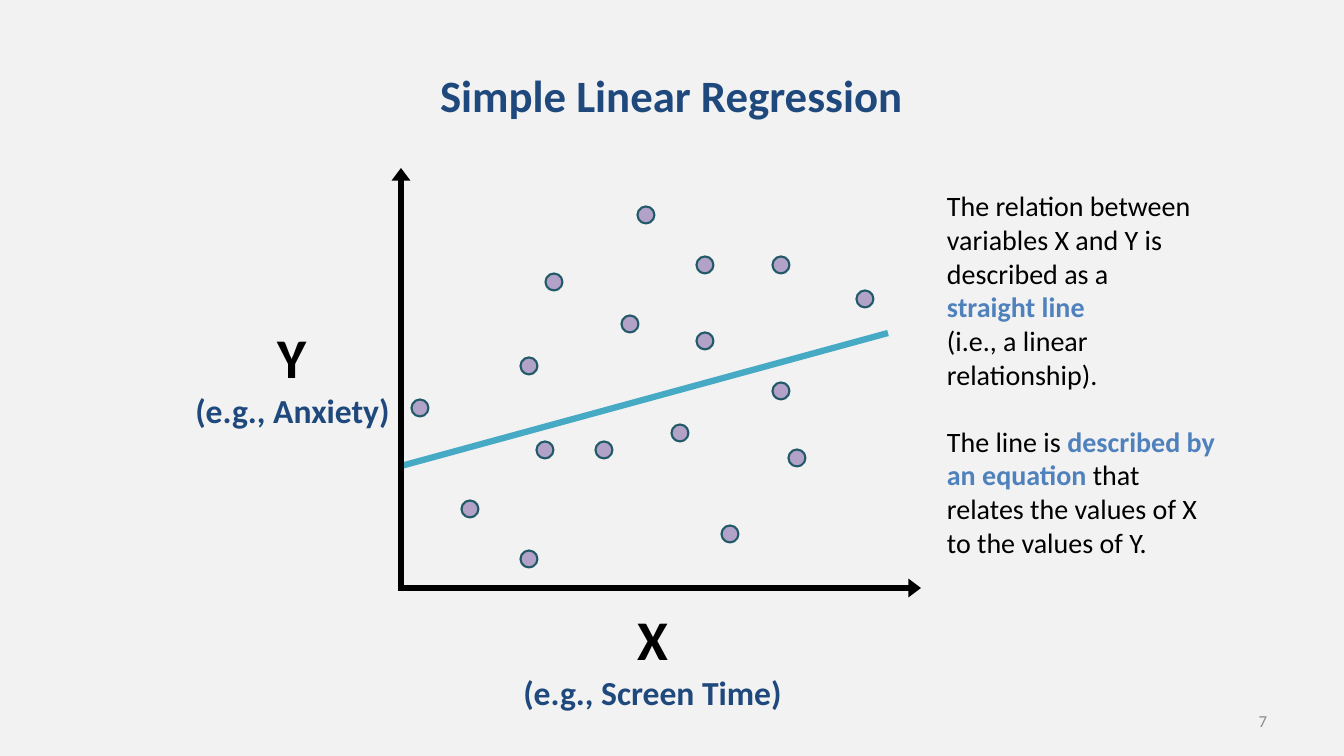
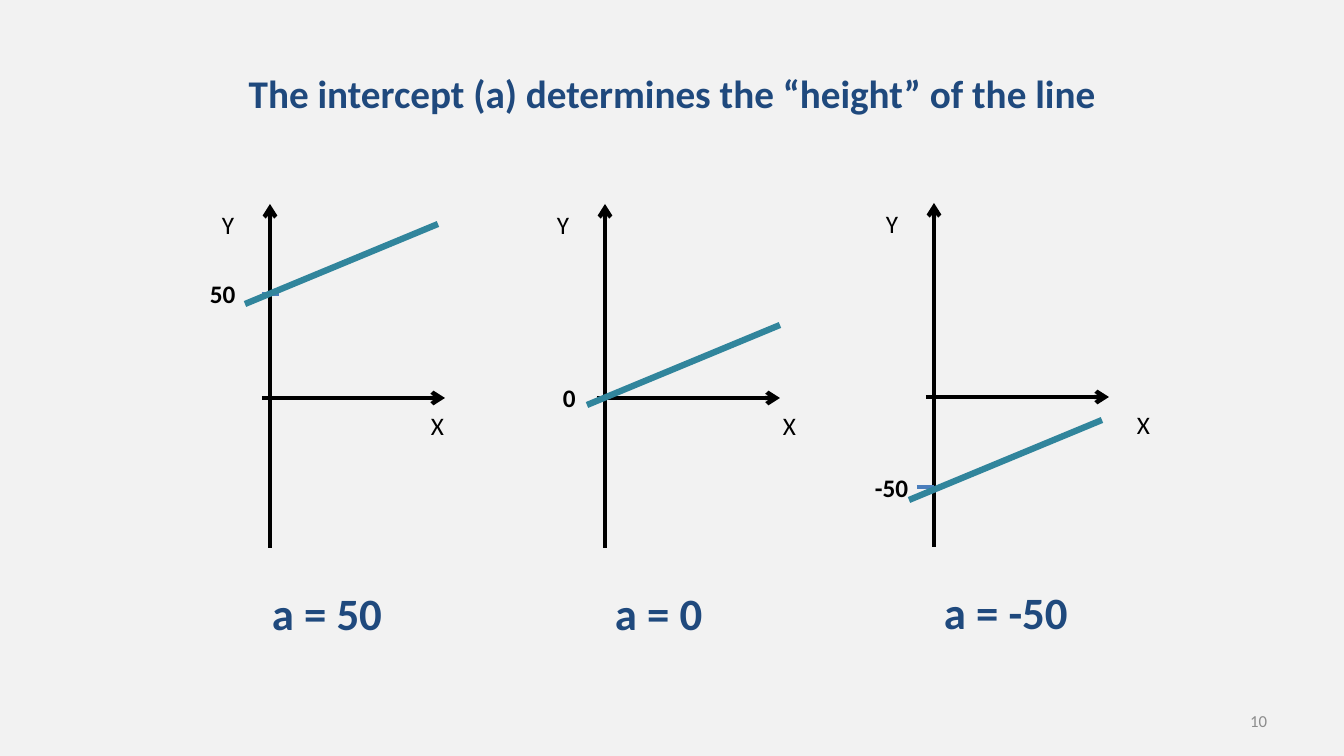
"""Build two slides that explain simple linear regression."""
from typing import NamedTuple

from lxml import etree
from pptx import Presentation
from pptx.dml.color import RGBColor
from pptx.enum.shapes import MSO_CONNECTOR, MSO_SHAPE
from pptx.enum.text import MSO_ANCHOR, PP_ALIGN
from pptx.oxml.ns import qn
from pptx.util import Pt

EMU_PER_PIXEL = 914400 / 100.8
STRAIGHT, OVAL = MSO_CONNECTOR.STRAIGHT, MSO_SHAPE.OVAL
TOP, MIDDLE = MSO_ANCHOR.TOP, MSO_ANCHOR.MIDDLE
LEFT, CENTER, RIGHT = PP_ALIGN.LEFT, PP_ALIGN.CENTER, PP_ALIGN.RIGHT
TITLE_ONLY = 5

FONT = "Calibri"
BACKGROUND, BLACK, GREY = "F2F2F2", "000000", "8C8C8C"
NAVY, BLUE, TICK_BLUE = "1F497D", "4F81BD", "4B7EBC"
TREND_TEAL, LINE_TEAL = "46AAC5", "31859C"
DOT_FILL, DOT_EDGE = "B3A2C7", "215968"
SOLID_HEAD = {"type": "triangle", "len": "sm"}
OPEN_HEAD = {"type": "arrow"}

DOT_SIZE = 17
DOTS = [
    (153, 114), (203, 282), (128, 391), (69, 341), (279, 265), (329, 366),
    (396, 290), (245, 47), (304, 97), (19, 240), (380, 97), (464, 131),
    (229, 156), (380, 223), (304, 173), (128, 198), (144, 282),
]
EXPLANATION = [
    [("The relation between variables X and Y is described as a ", False),
     ("\n", False), ("straight line ", True), ("\n", False),
     ("(i.e., a linear relationship).", False)],
    [("The line is ", False), ("described by an equation ", True),
     ("that relates the values of X to the values of Y.", False)],
]


class Box(NamedTuple):
    """A rectangle in pixels."""
    left: int
    top: int
    width: int
    height: int


class Intercept(NamedTuple):
    """One intercept plot, with offsets from the point where its axes cross."""
    value: str
    box: Box
    line_start: tuple
    x_label: int
    value_label: tuple
    caption: int
    tick: tuple


INTERCEPTS = [
    Intercept("50", Box(270, 204, 175, 344), (-25, -94), 151, (-70, -125, 46), -8,
              (-8, 9, -104)),
    Intercept("0", Box(605, 204, 175, 344), (-18, 7), 168, (-52, -21, 33), 0, ()),
    Intercept("-50", Box(934, 203, 175, 344), (-25, 103), 193, (-69, 70, 54), 0,
              (-17, 0, 90)),
]


def emu(*pixels):
    """Turn pixel lengths into EMU."""
    return [round(pixel * EMU_PER_PIXEL) for pixel in pixels]


def color(hex_text):
    """Turn a hex string into a colour."""
    return RGBColor.from_string(hex_text)


def style(para, size, hex_text, bold=False, align=LEFT):
    """Set the font and alignment of a whole paragraph."""
    para.alignment = align
    para.font.name = FONT
    para.font.size = Pt(size)
    para.font.bold = bold
    para.font.color.rgb = color(hex_text)


def add_text(page, box, lines, align=LEFT, anchor=TOP, wrap=False):
    """Add a text box whose lines are (text, size, colour, bold) tuples."""
    frame = page.shapes.add_textbox(*emu(*box)).text_frame
    frame.word_wrap = wrap
    frame.vertical_anchor = anchor
    for index, (text, size, hex_text, bold) in enumerate(lines):
        para = frame.add_paragraph() if index else frame.paragraphs[0]
        para.text = text
        style(para, size, hex_text, bold, align)


def add_line(page, start, end, hex_text, width, head=None):
    """Add a straight line, with an arrowhead at its end if one is given."""
    line = page.shapes.add_connector(STRAIGHT, *emu(*start, *end))
    line.line.color.rgb = color(hex_text)
    line.line.width = Pt(width)
    properties = line._element.spPr
    if head:
        etree.SubElement(properties.find(qn("a:ln")), qn("a:tailEnd"), head)
    etree.SubElement(properties, qn("a:effectLst"))


def add_page(deck, title, size, box, number):
    """Add a slide with its title and its page number."""
    page = deck.slides.add_slide(deck.slide_layouts[TITLE_ONLY])
    heading = page.shapes.title
    heading.left, heading.top, heading.width, heading.height = emu(*box)
    heading.text_frame.text = title
    heading.text_frame.vertical_anchor = MIDDLE
    style(heading.text_frame.paragraphs[0], size, NAVY, True, CENTER)
    add_text(page, Box(964, 701, 313, 40), [(number, 12, GREY, False)],
             RIGHT, MIDDLE, True)
    return page


def add_scatter(page, box):
    """Draw the axes, dots and trend line of the scatter plot."""
    left, top, width, height = box
    bottom = top + height
    add_line(page, (left - 3, bottom), (left + width, bottom), BLACK, 4.5, SOLID_HEAD)
    group = page.shapes.add_group_shape()
    for x, y in DOTS:
        corner = left + x - DOT_SIZE / 2, top + y - DOT_SIZE / 2
        dot = group.shapes.add_shape(OVAL, *emu(*corner, DOT_SIZE, DOT_SIZE))
        dot.shadow.inherit = False
        dot.fill.solid()
        dot.fill.fore_color.rgb = color(DOT_FILL)
        dot.line.color.rgb = color(DOT_EDGE)
        dot.line.width = Pt(1.5)
    add_line(page, (left, top + 298), (left + 487, top + 165), TREND_TEAL, 4.5)
    add_line(page, (left, bottom), (left, top), BLACK, 4.5, SOLID_HEAD)


def add_axis_name(page, box, letter, example):
    """Name an axis by its letter and an example below it."""
    lines = [(letter, 40, BLACK, True), (example, 24, NAVY, True)]
    add_text(page, box, lines, CENTER)


def add_explanation(page, box):
    """Add the paragraphs of explanation with their emphasised phrases."""
    frame = page.shapes.add_textbox(*emu(*box)).text_frame
    frame.word_wrap = True
    for index, spans in enumerate(EXPLANATION):
        para = frame.add_paragraph() if index else frame.paragraphs[0]
        style(para, 20, BLACK)
        para.space_before = Pt(24 if index else 0)
        for text, emphasised in spans:
            if text == "\n":
                para.add_line_break()
                continue
            span = para.add_run()
            span.text = text
            if emphasised:
                span.font.bold = True
                span.font.color.rgb = color(BLUE)


def add_intercept(page, plot):
    """Draw one intercept plot with its labels and caption."""
    left, top, width, height = plot.box
    base = top + 194
    add_line(page, (left, top + height), (left, top), BLACK, 3, OPEN_HEAD)
    add_line(page, (left - 8, base), (left + width, base), BLACK, 3, OPEN_HEAD)
    if plot.tick:
        start, end, rise = plot.tick
        add_line(page, (left + start, base + rise), (left + end, base + rise),
                 TICK_BLUE, 2.25)
    x, y = left + plot.line_start[0], base + plot.line_start[1]
    add_line(page, (x, y), (x + 193, y - 80), LINE_TEAL, 4.5)
    add_text(page, Box(left + plot.x_label, base + 7, 33, 40),
             [("X", 18, BLACK, False)])
    add_text(page, Box(left - 58, top, 33, 40), [("Y", 18, BLACK, False)])
    shift, rise, label_width = plot.value_label
    add_text(page, Box(left + shift, base + rise, label_width, 40),
             [(plot.value, 18, BLACK, True)])
    add_text(page, Box(left + plot.caption, top + 377, width, 64),
             [(f"a = {plot.value}", 32, NAVY, True)], wrap=True)


def build_regression(deck):
    """Build the slide on simple linear regression."""
    page = add_page(deck, "Simple Linear Regression", 32, Box(218, 32, 907, 126), "7")
    add_scatter(page, Box(401, 168, 520, 420))
    add_axis_name(page, Box(512, 600, 281, 119), "X", "(e.g., Screen Time)")
    add_axis_name(page, Box(184, 318, 217, 119), "Y", "(e.g., Anxiety)")
    add_explanation(page, Box(937, 184, 291, 383))


def build_intercepts(deck):
    """Build the slide that compares three intercepts."""
    title = "The intercept (a) determines the “height” of the line"
    page = add_page(deck, title, 28, Box(67, 30, 1210, 126), "10")
    for plot in INTERCEPTS:
        add_intercept(page, plot)


def main():
    """Build and save the deck."""
    deck = Presentation()
    deck.slide_width, deck.slide_height = emu(1344, 756)
    backdrop = deck.slide_master.background.fill
    backdrop.solid()
    backdrop.fore_color.rgb = color(BACKGROUND)
    build_regression(deck)
    build_intercepts(deck)
    deck.save("out.pptx")


main()
